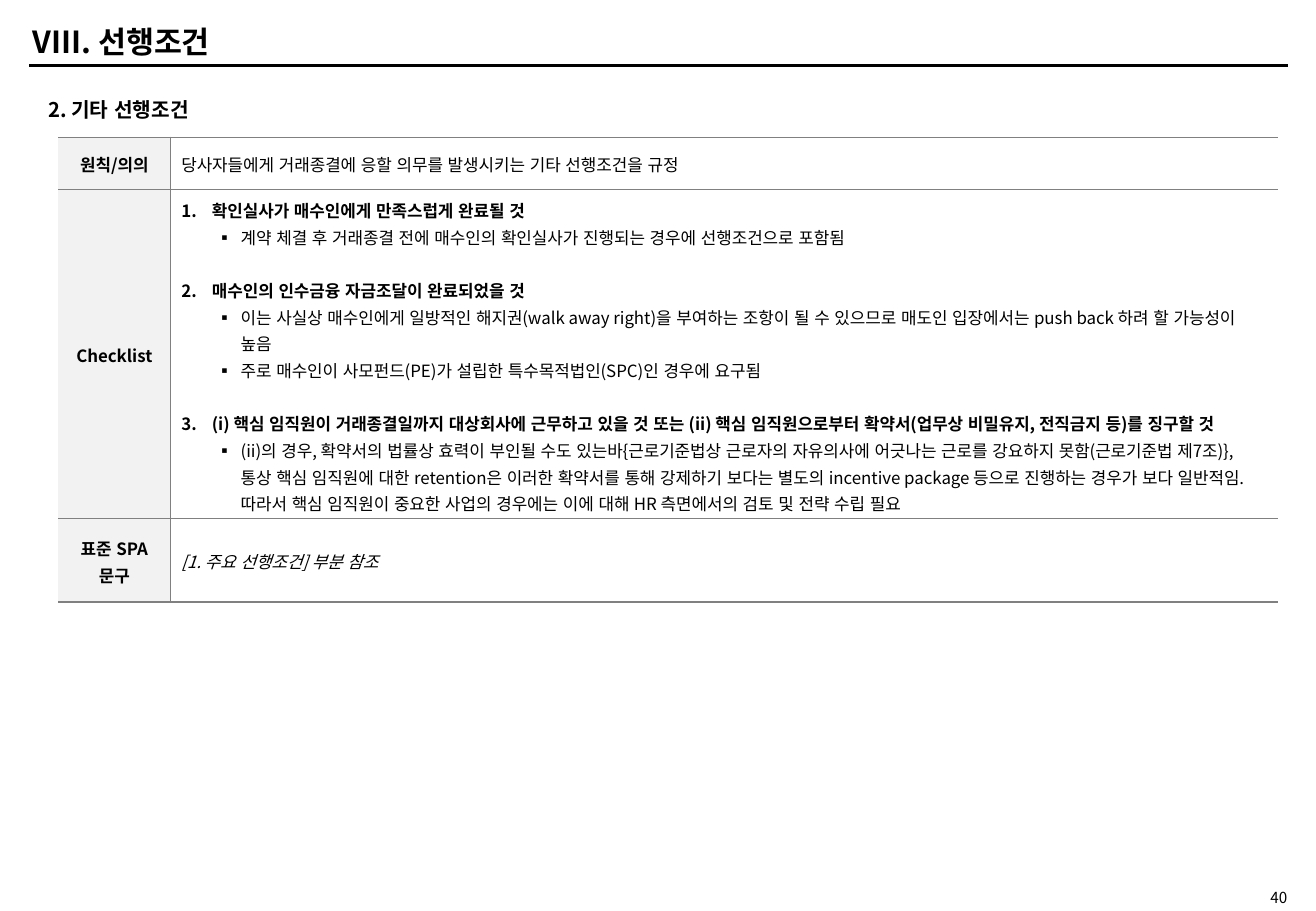
from lxml.etree import SubElement
from pptx import Presentation
from pptx.dml.color import RGBColor
from pptx.enum.lang import MSO_LANGUAGE_ID as Language
from pptx.enum.shapes import MSO_CONNECTOR as Connector
from pptx.enum.text import MSO_ANCHOR as Anchor, PP_ALIGN as Align
from pptx.oxml import parse_xml
from pptx.oxml.ns import nsdecls, qn
from pptx.util import Cm, Pt

FONT = "Noto Sans CJK KR"
BLACK, GRAY, LABEL_FILL = "000000", "808080", "F2F2F2"
BLANK_LAYOUT = 6
CHECKLIST = [
    ("확인실사가 매수인에게 만족스럽게 완료될 것", [
        "계약 체결 후 거래종결 전에 매수인의 확인실사가 진행되는 경우에 선행조건으로 포함됨",
    ]),
    ("매수인의 인수금융 자금조달이 완료되었을 것", [
        "이는 사실상 매수인에게 일방적인 해지권(walk away right)을 부여하는 조항이 될 수 있으므로 "
        "매도인 입장에서는 push back 하려 할 가능성이 높음",
        "주로 매수인이 사모펀드(PE)가 설립한 특수목적법인(SPC)인 경우에 요구됨",
    ]),
    ("(i) 핵심 임직원이 거래종결일까지 대상회사에 근무하고 있을 것 또는 "
     "(ii) 핵심 임직원으로부터 확약서(업무상 비밀유지, 전직금지 등)를 징구할 것", [
        "(ii)의 경우, 확약서의 법률상 효력이 부인될 수도 있는바{근로기준법상 근로자의 자유의사에 "
        "어긋나는 근로를 강요하지 못함(근로기준법 제7조)}, 통상 핵심 임직원에 대한 retention은 "
        "이러한 확약서를 통해 강제하기 보다는 별도의 incentive package 등으로 진행하는 경우가 보다 "
        "일반적임. 따라서 핵심 임직원이 중요한 사업의 경우에는 이에 대해 HR 측면에서의 검토 및 "
        "전략 수립 필요",
    ]),
]


def color(value):
    return RGBColor.from_string(value)


def add_run(paragraph, text, size=10, bold=False, italic=False):
    run = paragraph.add_run()
    run.text = text
    font = run.font
    font.name, font.size, font.bold, font.italic = FONT, Pt(size), bold, italic
    font.language_id = Language.KOREAN
    font.color.rgb = color(BLACK)
    SubElement(font._element, qn("a:ea"), typeface=FONT)


def add_text(slide, left, top, width, height, text, size, bold=True,
             anchor=Anchor.TOP, align=Align.LEFT, padding=0.13):
    frame = slide.shapes.add_textbox(Cm(left), Cm(top), Cm(width), Cm(height)).text_frame
    frame.word_wrap = True
    frame.vertical_anchor = anchor
    frame.margin_top = frame.margin_bottom = Cm(padding)
    paragraph = frame.paragraphs[0]
    paragraph.alignment = align
    add_run(paragraph, text, size, bold)


def add_rule(slide, left, right, top):
    line = slide.shapes.add_connector(Connector.STRAIGHT, Cm(left), Cm(top), Cm(right), Cm(top))
    line.line.color.rgb = color(BLACK)
    line.line.width = Pt(2)
    SubElement(line._element.spPr, qn("a:effectLst"))


def set_borders(cell, visible):
    properties = cell._tc.get_or_add_tcPr()
    for index, side in enumerate("LRTB"):
        paint = (f'<a:solidFill><a:srgbClr val="{GRAY}"/></a:solidFill>'
                 if side in visible else "<a:noFill/>")
        properties.insert(index, parse_xml(
            f'<a:ln{side} {nsdecls("a")} w="{Pt(1)}">{paint}</a:ln{side}>'))


def style_cell(cell, borders, side_margin, end_margin):
    cell.vertical_anchor = Anchor.MIDDLE
    cell.margin_left = cell.margin_right = Cm(side_margin)
    cell.margin_top = cell.margin_bottom = Cm(end_margin)
    set_borders(cell, borders)


def fill_label(cell, text):
    cell.fill.solid()
    cell.fill.fore_color.rgb = color(LABEL_FILL)
    style_cell(cell, "RTB", 0.18, 0)
    paragraph = cell.text_frame.paragraphs[0]
    paragraph.alignment = Align.CENTER
    paragraph.line_spacing = 1.1
    add_run(paragraph, text, bold=True)


def prepare_body(cell):
    cell.fill.background()
    style_cell(cell, "LTB", 0.23, 0.13)
    paragraph = cell.text_frame.paragraphs[0]
    paragraph.line_spacing = 1.1
    return paragraph


def set_bullet(paragraph, margin, hanging, tag, **attributes):
    properties = paragraph._p.get_or_add_pPr()
    properties.set("marL", str(Cm(margin)))
    properties.set("indent", str(-Cm(hanging)))
    SubElement(properties, qn("a:buFont"), typeface=FONT)
    SubElement(properties, qn(tag), **attributes)


def fill_checklist(cell):
    paragraph = prepare_body(cell)
    for index, (heading, details) in enumerate(CHECKLIST):
        if index:
            paragraph = cell.text_frame.add_paragraph()
        set_bullet(paragraph, 0.64, 0.64, "a:buAutoNum", type="arabicPeriod")
        paragraph.line_spacing = 1.1
        if index:
            paragraph.space_before = Pt(15.8)
        add_run(paragraph, heading, bold=True)
        for detail in details:
            paragraph = cell.text_frame.add_paragraph()
            paragraph.level = 1
            set_bullet(paragraph, 1.24, 0.51, "a:buChar", char="▪")
            paragraph.line_spacing = 1.1
            add_run(paragraph, detail)


def add_conditions_table(slide):
    widths, heights = [2.34, 23.16], [1.09, 6.88, 1.75]
    table = slide.shapes.add_table(3, 2, Cm(1.22), Cm(2.87),
                                   Cm(sum(widths)), Cm(sum(heights))).table
    table.first_row = table.horz_banding = False
    for column, width in zip(table.columns, widths):
        column.width = Cm(width)
    for row, height in zip(table.rows, heights):
        row.height = Cm(height)
    for index, label in enumerate(["원칙/의의", "Checklist", "표준 SPA 문구"]):
        fill_label(table.cell(index, 0), label)
    add_run(prepare_body(table.cell(0, 1)),
            "당사자들에게 거래종결에 응할 의무를 발생시키는 기타 선행조건을 규정")
    fill_checklist(table.cell(1, 1))
    add_run(prepare_body(table.cell(2, 1)), "[1. 주요 선행조건] 부분 참조", italic=True)


def main():
    presentation = Presentation()
    presentation.slide_width, presentation.slide_height = Cm(27.51), Cm(19.05)
    slide = presentation.slides.add_slide(presentation.slide_layouts[BLANK_LAYOUT])
    add_rule(slide, 0.61, 26.92, 1.37)
    add_text(slide, 24.77, 18.57, 2.39, 0.38, "40", 9, bold=False,
             anchor=Anchor.MIDDLE, align=Align.RIGHT, padding=0)
    add_text(slide, 0.43, 0.38, 8.33, 0.97, "VIII. 선행조건", 18, anchor=Anchor.MIDDLE)
    add_conditions_table(slide)
    add_text(slide, 0.76, 1.91, 20.78, 0.76, "2. 기타 선행조건", 12)
    presentation.save("out.pptx")


if __name__ == "__main__":
    main()
